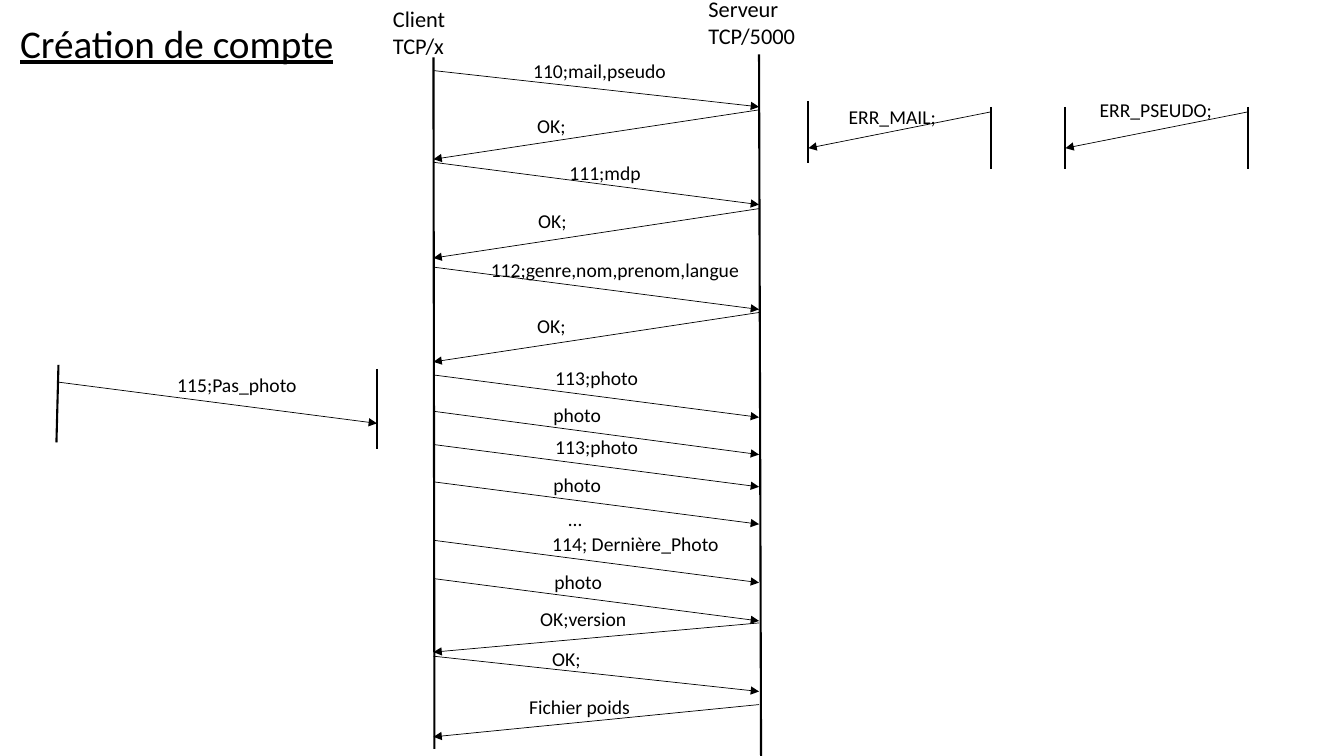
from pptx import Presentation
from pptx import util as u
from pptx.dml.color import RGBColor
from pptx.enum import shapes, text
from pptx.oxml import parse_xml
from pptx.oxml.ns import nsdecls, qn

BLACK = RGBColor(0, 0, 0)
FONT = "Calibri"
CELL = u.Inches(0.1)
COLS, ROWS = 133.33, 75
CLIENT, SERVER = 43, 75.3
LABEL_ROWS = 3.4

MESSAGES = [
    ("110;mail,pseudo", 51.9, 5.4, 15.3, 7, 10.6, True),
    ("OK;", 52.3, 10.8, 4.9, 10.9, 15.8, False),
    ("111;mdp", 55.5, 15.5, 9.2, 16.1, 20.3, True),
    ("OK;", 52.4, 20.2, 4.9, 20.7, 25.6, False),
    ("112;genre,nom,prenom,langue", 47.7, 25.1, 26.9, 26.5, 30.7, True),
    ("OK;", 52.3, 30.7, 4.9, 31, 35.9, False),
    ("113;photo", 54.1, 35.8, 10.3, 37.2, 41.4, True),
    ("photo", 53.9, 39.5, 6.8, 40.8, 45.1, True),
    ("113;photo", 54.1, 42.7, 10.3, 44.1, 48.3, True),
    ("photo", 53.9, 46.4, 6.8, 47.8, 52, True),
    ("114; Dernière_Photo", 53.8, 52.3, 18.7, 53.6, 57.8, True),
    ("photo", 54, 56, 6.8, 57.4, 61.6, True),
    ("OK;version", 52.6, 59.7, 10.7, 61.8, 64.7, False),
    ("OK;", 53.8, 63.7, 6.8, 65.1, 68.6, True),
    ("Fichier poids", 51.5, 68.4, 12.1, 69.9, 73.1, False),
]

ERRORS = [
    ("ERR_MAIL;", 83.2, 9.9, 10.8, 80.2, 10),
    ("ERR_PSEUDO;", 108.1, 9.2, 13.3, 105.7, 10.6),
]


def cells(*counts):
    return [round(n * CELL) for n in counts]


def style(frame, size, underline=None):
    for para in frame.paragraphs:
        para.alignment = text.PP_ALIGN.LEFT
        for run in para.runs:
            font = run.font
            font.name, font.size = FONT, u.Pt(size)
            font.color.rgb, font.underline = BLACK, underline


def title(slide, words, left, top, wide, high):
    box = slide.shapes.title
    box.left, box.top, box.width, box.height = cells(left, top, wide, high)
    frame = box.text_frame
    frame.text = words
    frame.word_wrap = True
    frame.auto_size = text.MSO_AUTO_SIZE.NONE
    frame.vertical_anchor = text.MSO_ANCHOR.TOP
    style(frame, 28, True)


def label(slide, words, left, top, wide, high=LABEL_ROWS, size=14):
    box = slide.shapes.add_textbox(*cells(left, top, wide, high))
    frame = box.text_frame
    frame.text = words
    frame.word_wrap = False
    style(frame, size)


def line(slide, start, end, width=1.5):
    link = slide.shapes.add_connector(
        shapes.MSO_CONNECTOR.STRAIGHT, *cells(*start, *end))
    link.line.color.rgb = BLACK
    link.line.width = u.Pt(width)
    props = link._element.find(qn("p:spPr"))
    props.append(parse_xml(f"<a:effectLst {nsdecls('a')}/>"))
    return link


def arrow(slide, start, end):
    link = line(slide, start, end, 0.5)
    link.line._get_or_add_ln().append(
        parse_xml(f'<a:tailEnd {nsdecls("a")} type="triangle"/>'))


def message(slide, words, left, top, wide, begin, stop, ahead):
    source, target = (CLIENT, SERVER) if ahead else (SERVER, CLIENT)
    arrow(slide, (source, begin), (target, stop))
    label(slide, words, left, top, wide)


def error(slide, words, left, top, wide, side, start):
    far = side + 18.1
    line(slide, (side, start), (side, start + 6.2))
    line(slide, (far, 10.6), (far, 16.8))
    arrow(slide, (far, 11.1), (side, 14.7))
    label(slide, words, left, top, wide)


def main():
    deck = Presentation()
    deck.slide_width, deck.slide_height = cells(COLS, ROWS)
    slide = deck.slides.add_slide(deck.slide_layouts[5])
    title(slide, "Création de compte", 1, 1.4, 34, 5.7)

    label(slide, "Client\nTCP/x", 38, 0, 10, 6.4, 16)
    label(slide, "Serveur\nTCP/5000", 69.3, -1, 12, 6.4, 16)
    line(slide, (CLIENT, 5.7), (CLIENT + 0.1, 74.3))
    line(slide, (SERVER, 5.4), (SERVER + 0.2, ROWS))

    for item in MESSAGES:
        message(slide, *item)
    label(slide, "…", 55.4, 49.8, 3.5)

    for item in ERRORS:
        error(slide, *item)

    line(slide, (5.8, 36.2), (5.6, 43.9))
    line(slide, (37.4, 36.6), (37.4, 44.5))
    arrow(slide, (5.7, 37.9), (37.4, 42))
    label(slide, "115;Pas_photo", 16.6, 36.5, 14)
    deck.save("out.pptx")


if __name__ == "__main__":
    main()
